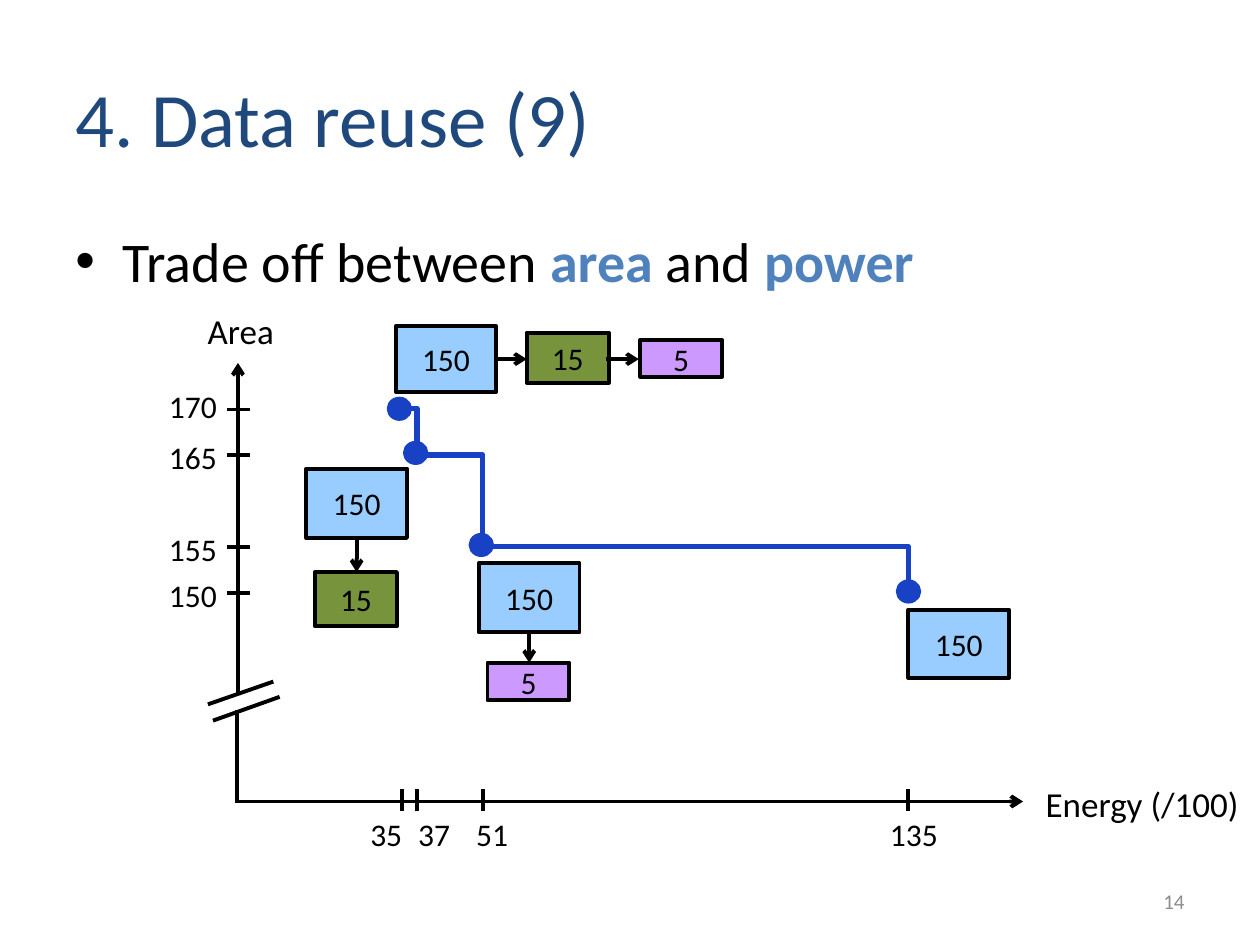
import pptx
import pptx.util
import pptx.dml.color
import pptx.enum.shapes
import pptx.enum.text
import pptx.oxml.ns
import lxml.etree

Pt = pptx.util.Pt
RGBColor = pptx.dml.color.RGBColor
SHAPE = pptx.enum.shapes.MSO_SHAPE
ALIGN = pptx.enum.text.PP_ALIGN
ANCHOR = pptx.enum.text.MSO_ANCHOR
qn = pptx.oxml.ns.qn

BLACK = RGBColor(0x00, 0x00, 0x00)
NAVY = RGBColor(0x1F, 0x49, 0x7D)
ACCENT = RGBColor(0x4F, 0x81, 0xBD)
GREY = RGBColor(0x8C, 0x8C, 0x8C)
CURVE = RGBColor(0x18, 0x41, 0xC4)
BLUE = RGBColor(0x99, 0xCC, 0xFF)
GREEN = RGBColor(0x77, 0x93, 0x3C)
PURPLE = RGBColor(0xCC, 0x99, 0xFF)

# Area: value, tick y, label top
AREA_TICKS = [(170, 234, 217.4), (165, 260, 247), (155, 312.5, 299.5), (150, 339, 325.4)]
# Energy: value, tick x, label left, label width
ENERGY_TICKS = [(35, 229.5, 202.3, 34.6), (37, 238.5, 229.7, 34.6),
                (51, 276.2, 262.8, 34.6), (135, 519, 499, 44)]
# Memory layers: left, top, height, size
MEMORIES = [
    (273.6, 321.8, 39.6, 150), (278.6, 378.7, 21.6, 5),
    (175, 267.8, 39.6, 150), (180, 326.9, 31, 15),
    (226.1, 186.5, 37.4, 150), (301, 190.1, 28.8, 15), (365.8, 194.4, 20.9, 5),
    (519.1, 348.5, 38.9, 150),
]
MEMORY_STYLES = {150: (57.6, BLUE), 15: (46.8, GREEN), 5: (46.8, PURPLE)}
TRANSFERS = [(302.4, 361.4, 302.4, 378.7), (203.8, 307.4, 203.8, 326.9),
             (282.2, 205.2, 301, 205.2), (346.3, 205.2, 365, 205.2)]
DOTS = [(222.5, 228.2), (231.8, 253.4), (269.3, 306), (513.4, 332.6)]
CURVE_POINTS = [(519, 338.4), (519, 312.5), (275.8, 312.5), (275.8, 260),
                (238.3, 260), (238.3, 233.3), (229, 233.3)]


def style_run(run, size, color, bold=False):
    run.font.name = "Calibri"
    run.font.size = Pt(size)
    run.font.color.rgb = color
    run.font.bold = bold


def add_text(slide, box, text, size, color=BLACK, align=ALIGN.LEFT,
             anchor=ANCHOR.TOP, wrap=False):
    text_box = slide.shapes.add_textbox(*map(Pt, box))
    frame = text_box.text_frame
    frame.word_wrap = wrap
    frame.vertical_anchor = anchor
    frame.text = text
    frame.paragraphs[0].alignment = align
    style_run(frame.paragraphs[0].runs[0], size, color)


def add_line(slide, x1, y1, x2, y2, arrow=False):
    line = slide.shapes.add_connector(
        pptx.enum.shapes.MSO_CONNECTOR.STRAIGHT, Pt(x1), Pt(y1), Pt(x2), Pt(y2))
    line.line.color.rgb = BLACK
    line.line.width = Pt(2.25)
    if arrow:
        lxml.etree.SubElement(line.line._get_or_add_ln(), qn("a:tailEnd"), type="arrow")
    lxml.etree.SubElement(line._element.spPr, qn("a:effectLst"))


def add_bullet(slide):
    text_box = slide.shapes.add_textbox(Pt(36), Pt(126), Pt(648), Pt(356.4))
    text_box.text_frame.word_wrap = True
    paragraph = text_box.text_frame.paragraphs[0]
    properties = paragraph._p.get_or_add_pPr()
    properties.set("marL", str(Pt(27)))
    properties.set("indent", str(-Pt(27)))
    lxml.etree.SubElement(properties, qn("a:buFont"), typeface="Arial")
    lxml.etree.SubElement(properties, qn("a:buChar"), char="•")
    for text, key_word in [("Trade off between ", False), ("area", True),
                           (" and ", False), ("power", True)]:
        run = paragraph.add_run()
        run.text = text
        style_run(run, 32, ACCENT if key_word else BLACK, key_word)


def add_memory(slide, left, top, height, size):
    width, color = MEMORY_STYLES[size]
    memory = slide.shapes.add_shape(SHAPE.RECTANGLE, Pt(left), Pt(top), Pt(width), Pt(height))
    memory.shadow.inherit = False
    memory.fill.solid()
    memory.fill.fore_color.rgb = color
    memory.line.color.rgb = BLACK
    memory.line.width = Pt(2.25)
    frame = memory.text_frame
    frame.word_wrap = False
    frame.vertical_anchor = ANCHOR.MIDDLE
    frame.text = str(size)
    frame.paragraphs[0].alignment = ALIGN.CENTER
    style_run(frame.paragraphs[0].runs[0], 18, BLACK)


def add_axes(slide):
    # Energy axis
    add_line(slide, 135.4, 458, 584.6, 458, arrow=True)
    add_text(slide, (590.4, 443.5, 126, 31.7), "Energy (/100)", 20)
    for value, x, left, width in ENERGY_TICKS:
        add_line(slide, x, 463.7, x, 450.7)
        add_text(slide, (left, 462.2, width, 28.8), str(value), 18, align=ALIGN.RIGHT)
    # Area axis with its break
    add_line(slide, 136, 397.4, 136, 207.4, arrow=True)
    add_line(slide, 135.4, 406, 135.4, 458.6)
    add_line(slide, 156.2, 389.5, 118.8, 402.5)
    add_line(slide, 159.8, 398.2, 121.7, 411.8)
    add_text(slide, (111.6, 173.5, 52.6, 31.7), "Area", 20)
    for value, y, top in AREA_TICKS:
        add_line(slide, 129.6, y, 142.6, y)
        add_text(slide, (87.1, top, 43.9, 28.8), str(value), 18, align=ALIGN.RIGHT)


def add_curve(slide):
    for left, top in DOTS:
        dot = slide.shapes.add_shape(SHAPE.OVAL, Pt(left), Pt(top), Pt(11.5), Pt(10.8))
        dot.shadow.inherit = False
        dot.fill.solid()
        dot.fill.fore_color.rgb = CURVE
        dot.line.color.rgb = CURVE
        dot.line.width = Pt(3)
    points = [(Pt(x), Pt(y)) for x, y in CURVE_POINTS]
    builder = slide.shapes.build_freeform(*points[0])
    builder.add_line_segments(points[1:], close=False)
    steps = builder.convert_to_shape()
    steps.shadow.inherit = False
    steps.fill.background()
    steps.line.color.rgb = CURVE
    steps.line.width = Pt(3)


def main():
    deck = pptx.Presentation()
    deck.slide_width, deck.slide_height = Pt(720), Pt(540)
    slide = deck.slides.add_slide(deck.slide_layouts[6])

    # Heading and statement
    add_text(slide, (36, 21.6, 648, 90), "4. Data reuse (9)", 44, NAVY,
             anchor=ANCHOR.MIDDLE, wrap=True)
    add_bullet(slide)

    # Trade-off diagram
    add_axes(slide)
    add_curve(slide)
    for memory in MEMORIES:
        add_memory(slide, *memory)
    for transfer in TRANSFERS:
        add_line(slide, *transfer, arrow=True)

    # Slide number
    add_text(slide, (516.2, 500.4, 167.8, 28.8), "14", 12, GREY, ALIGN.RIGHT,
             ANCHOR.MIDDLE, wrap=True)
    deck.save("out.pptx")


if __name__ == "__main__":
    main()
